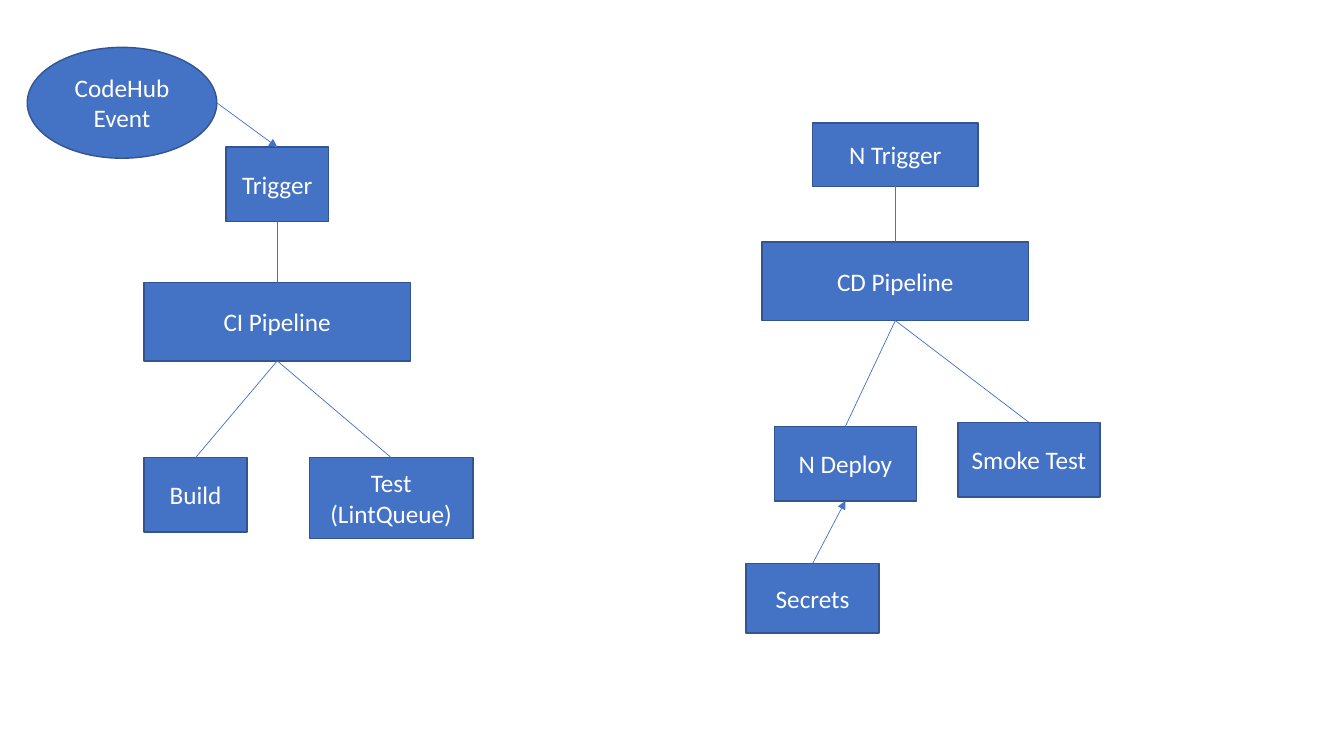
from dataclasses import dataclass

from lxml import etree
from pptx import Presentation
from pptx.dml.color import RGBColor
from pptx.enum.shapes import MSO_CONNECTOR, MSO_SHAPE
from pptx.enum.text import MSO_ANCHOR, PP_ALIGN
from pptx.oxml.ns import qn
from pptx.shapes.autoshape import Shape
from pptx.shapes.connector import Connector
from pptx.slide import Slide
from pptx.util import Emu, Pt

RECT = MSO_SHAPE.RECTANGLE
OVAL = MSO_SHAPE.OVAL
STRAIGHT = MSO_CONNECTOR.STRAIGHT
CENTER = PP_ALIGN.CENTER
MIDDLE = MSO_ANCHOR.MIDDLE

BLUE = RGBColor(0x44, 0x72, 0xC4)
EDGE = RGBColor(0x32, 0x54, 0x91)
WHITE = RGBColor(0xFF, 0xFF, 0xFF)

FONT = "Calibri"
SCALE = 9144  # EMU per px, 100 px to the inch
TOP, BOTTOM = 0, 2


@dataclass
class Node:
    text: str
    left: int
    top: int
    width: int
    height: int
    kind: MSO_SHAPE = RECT


@dataclass
class Link:
    start: str
    end: str
    side: int = BOTTOM
    arrow: bool = False


EVENT = Node("CodeHub Event", 27, 47, 188, 110, OVAL)

NODES = [
    EVENT,
    # CI tree
    Node("Trigger", 224, 146, 102, 74),
    Node("CI Pipeline", 143, 280, 264, 78),
    Node("Build", 143, 454, 102, 74),
    Node("Test (LintQueue)", 307, 454, 162, 80),
    # CD tree
    Node("N Trigger", 806, 122, 164, 63),
    Node("CD Pipeline", 756, 240, 264, 78),
    Node("N Deploy", 768, 423, 141, 74),
    Node("Smoke Test", 950, 419, 141, 74),
    Node("Secrets", 740, 559, 132, 69),
]

LINKS = [
    Link("Trigger", "CI Pipeline"),
    Link("CI Pipeline", "Build"),
    Link("CI Pipeline", "Test (LintQueue)"),
    Link("N Trigger", "CD Pipeline"),
    Link("CD Pipeline", "N Deploy"),
    Link("CD Pipeline", "Smoke Test"),
    Link("Secrets", "N Deploy", TOP, True),
]


def px(size: int) -> Emu:
    return Emu(size * SCALE)


def add_node(slide: Slide, node: Node) -> Shape:
    shape = slide.shapes.add_shape(
        node.kind, px(node.left), px(node.top), px(node.width), px(node.height)
    )
    shape.shadow.inherit = False
    shape.fill.solid()
    shape.fill.fore_color.rgb = BLUE
    shape.line.color.rgb = EDGE
    shape.line.width = Pt(1)
    frame = shape.text_frame
    frame.word_wrap = True
    frame.vertical_anchor = MIDDLE
    frame.text = node.text
    line = frame.paragraphs[0]
    line.alignment = CENTER
    font = line.runs[0].font
    font.name = FONT
    font.size = Pt(18)
    font.color.rgb = WHITE
    return shape


def add_line(slide: Slide, arrow: bool, x: int = 0, y: int = 0) -> Connector:
    line = slide.shapes.add_connector(STRAIGHT, px(x), px(y), px(x), px(y))
    line.line.color.rgb = BLUE
    line.line.width = Pt(0.5)
    props = line.element.spPr
    if arrow:
        etree.SubElement(props.find(qn("a:ln")), qn("a:tailEnd"), type="triangle")
    etree.SubElement(props, qn("a:effectLst"))
    return line


def add_link(slide: Slide, link: Link, shapes: dict[str, Shape]) -> None:
    line = add_line(slide, link.arrow)
    line.begin_connect(shapes[link.start], link.side)
    line.end_connect(shapes[link.end], BOTTOM - link.side)


def main() -> None:
    deck = Presentation()
    deck.slide_width = px(1333)
    deck.slide_height = px(750)
    slide = deck.slides.add_slide(deck.slide_layouts[6])

    # Boxes and the lines between them
    shapes = {node.text: add_node(slide, node) for node in NODES}
    for link in LINKS:
        add_link(slide, link, shapes)

    # Arrow from the right of the oval to the trigger
    right = EVENT.left + EVENT.width
    arrow = add_line(slide, True, right, EVENT.top + EVENT.height // 2)
    arrow.end_connect(shapes["Trigger"], TOP)

    deck.save("out.pptx")


if __name__ == "__main__":
    main()
